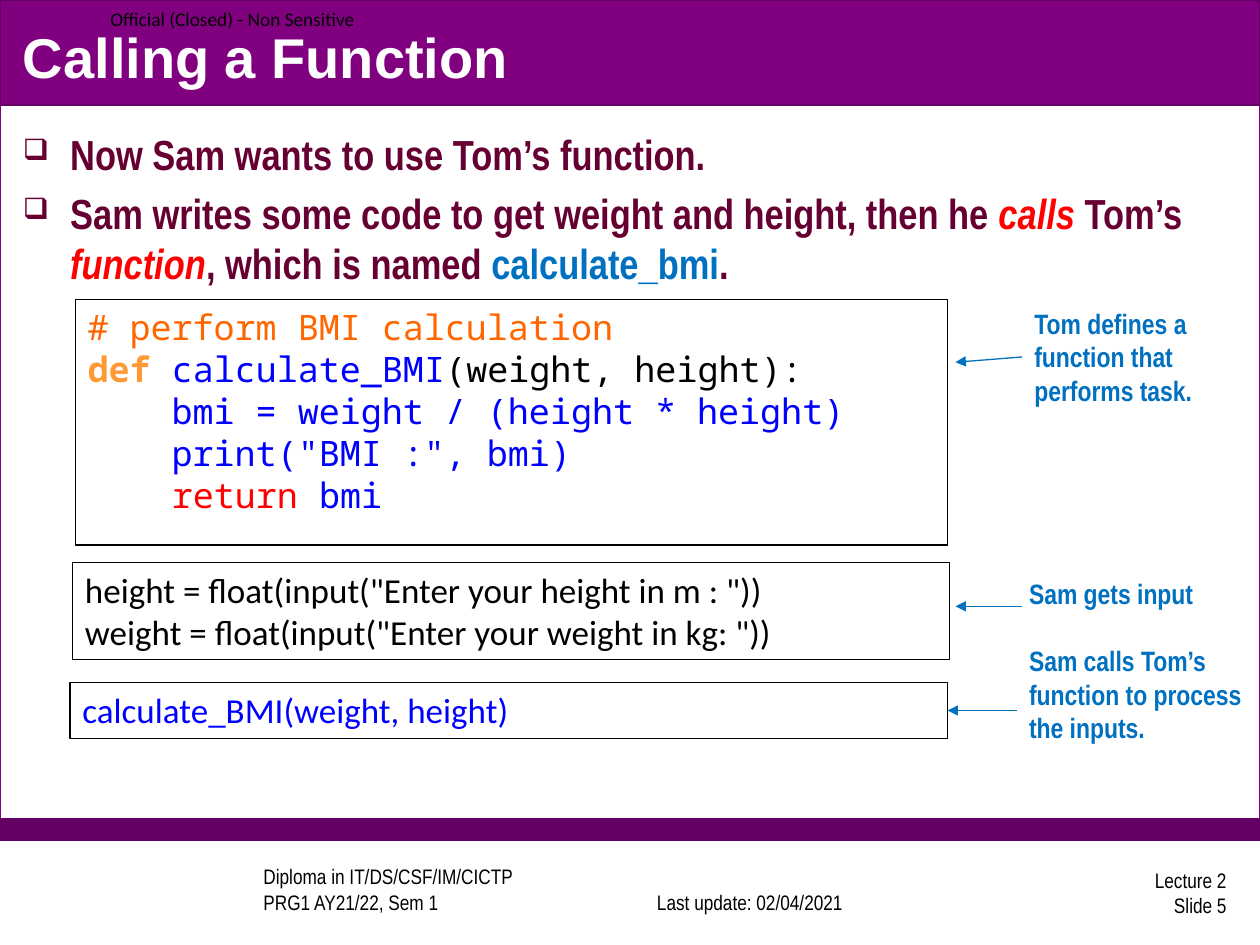
from pptx import Presentation
from pptx.dml.color import RGBColor
from pptx.enum.shapes import MSO_CONNECTOR as CONN, MSO_SHAPE as SHAPE
from pptx.enum.text import MSO_ANCHOR as ANCHOR, PP_ALIGN as ALIGN
from pptx.oxml.ns import qn
from pptx.util import Pt
from lxml.etree import SubElement

COLORS = {
    "white": "FFFFFF", "black": "000000", "purple": "800080", "dark": "640064",
    "maroon": "660033", "red": "FF0000", "sky": "0070C0", "blue": "0000FF",
    "orange": "FF6600", "amber": "FF9933",
}

TITLE = {"name": "Arial", "size": Pt(32), "bold": True}
BODY = {"name": "Arial Narrow", "size": Pt(24), "bold": True}
NOTE = {"name": "Arial Narrow", "size": Pt(16), "bold": True}
FOOTER = {"name": "Arial Narrow", "size": Pt(12)}
LABEL = {"name": "Calibri", "size": Pt(11)}
CODE = {"name": "Noto Sans Mono", "size": Pt(20)}
INPUT = {"name": "Calibri", "size": Pt(20)}
ITALIC = {"italic": True}
BOLD = {"bold": True}

BULLETS = [
    [("Now Sam wants to use Tom’s function.", "maroon")],
    [("Sam writes some code to get weight and height, then he ", "maroon"),
     ("calls ", "red", ITALIC), ("Tom’s", "maroon"), (" function", "red", ITALIC),
     (", which is named ", "maroon"), ("calculate_bmi", "sky"), (".", "maroon")],
]
FUNCTION_CODE = [
    [("# perform BMI calculation", "orange")],
    [("def ", "amber", BOLD), ("calculate_BMI", "blue"), ("(weight, height):", "black")],
    [("    bmi = weight / (height * height)", "blue")],
    [('    print("BMI :", bmi)', "blue")],
    [("    ", "blue"), ("return ", "red"), ("bmi", "blue")],
]
INPUT_CODE = [
    [('height = float(input("Enter your height in m : "))', "black")],
    [('weight = float(input("Enter your weight in kg: "))', "black")],
]
CALL_CODE = [[("calculate_BMI(weight, height)", "blue")]]


def rgb(name):
    return RGBColor.from_string(COLORS[name])


def set_format(target, values):
    for name, value in values.items():
        setattr(target, name, value)


def add_bullet(p):
    pPr = p._p.get_or_add_pPr()
    pPr.set("marL", str(Pt(27)))
    pPr.set("indent", str(Pt(-27)))
    SubElement(pPr, qn("a:buSzPct")).set("val", "70000")
    SubElement(pPr, qn("a:buChar")).set("char", "❑")


def write(tf, paragraphs, font, align=ALIGN.LEFT, anchor=ANCHOR.TOP, gap=0, bullets=False):
    set_format(tf, {"word_wrap": True, "vertical_anchor": anchor})
    for i, runs in enumerate(paragraphs):
        p = tf.paragraphs[0] if i == 0 else tf.add_paragraph()
        p.alignment = align
        if i and gap:
            p.space_before = Pt(gap)
        if bullets:
            add_bullet(p)
        for text, color, *style in runs:
            for j, line in enumerate(text.split("\n")):
                if j:
                    p.add_line_break()
                r = p.add_run()
                r.text = line
                set_format(r.font, font | (style[0] if style else {}))
                r.font.color.rgb = rgb(color)


def add_text(slide, box, paragraphs, font, **layout):
    tf = slide.shapes.add_textbox(*map(Pt, box)).text_frame
    write(tf, paragraphs, font, **layout)


def add_rect(slide, box, fill, line):
    sp = slide.shapes.add_shape(SHAPE.RECTANGLE, *map(Pt, box))
    sp.shadow.inherit = False
    sp.fill.solid()
    sp.fill.fore_color.rgb = rgb(fill)
    sp.line.color.rgb = rgb(line)
    sp.line.width = Pt(0.75)
    return sp


def add_code(slide, box, paragraphs, font):
    sp = add_rect(slide, box, "white", "black")
    write(sp.text_frame, paragraphs, font)
    return sp


def add_arrow(slide, start, end):
    cxn = slide.shapes.add_connector(CONN.STRAIGHT, *map(Pt, start + end))
    cxn.line.color.rgb = rgb("sky")
    cxn.line.width = Pt(0.75)
    SubElement(cxn.line._get_or_add_ln(), qn("a:tailEnd")).set("type", "triangle")
    SubElement(cxn._element.spPr, qn("a:effectLst"))
    return cxn


def add_frame(slide):
    add_rect(slide, (0, 0, 720, 480), "white", "purple")
    add_rect(slide, (0, 468, 720, 12), "dark", "dark")
    add_rect(slide, (0, 0, 720, 60), "purple", "dark")
    footers = [
        ((143.5, 496, 200, 30), "Diploma in IT/DS/CSF/IM/CICTP\nPRG1 AY21/22, Sem 1",
         ALIGN.LEFT, ANCHOR.BOTTOM),
        ((353.5, 496, 150, 30), "Last update: 02/04/2021", ALIGN.CENTER, ANCHOR.BOTTOM),
        ((558, 495, 150, 30), "Lecture 2\nSlide 5", ALIGN.RIGHT, ANCHOR.MIDDLE),
    ]
    for box, text, align, anchor in footers:
        add_text(slide, box, [[(text, "black")]], FOOTER, align=align, anchor=anchor)
    add_text(slide, (56, 0, 180, 22), [[("Official (Closed) - Non Sensitive", "black")]],
             LABEL, anchor=ANCHOR.MIDDLE)


def main():
    prs = Presentation()
    prs.slide_width, prs.slide_height = Pt(720), Pt(540)
    slide = prs.slides.add_slide(prs.slide_layouts[6])

    add_frame(slide)
    add_text(slide, (6, 9.5, 708, 45), [[("Calling a Function", "white")]],
             TITLE, anchor=ANCHOR.MIDDLE)
    add_text(slide, (6, 70, 708, 392), BULLETS, BODY, gap=4.8, bullets=True)

    add_text(slide, (584, 171.5, 136, 65.5),
             [[("Tom defines a function that performs task.", "sky")]], NOTE)
    add_text(slide, (581, 326, 136, 104),
             [[("Sam gets input", "sky")],
              [("Sam calls Tom’s function to process the inputs.", "sky")]], NOTE, gap=19)

    add_code(slide, (43, 171, 498.5, 140.5), FUNCTION_CODE, CODE)
    add_code(slide, (41.5, 321.5, 501, 55.5), INPUT_CODE, INPUT)
    call = add_code(slide, (40, 390, 501.5, 32), CALL_CODE, INPUT)

    add_arrow(slide, (584, 204), (546, 207))
    add_arrow(slide, (584, 346.5), (546, 346.5))
    add_arrow(slide, (581, 406), (541.5, 406)).end_connect(call, 3)

    prs.save("out.pptx")


if __name__ == "__main__":
    main()
